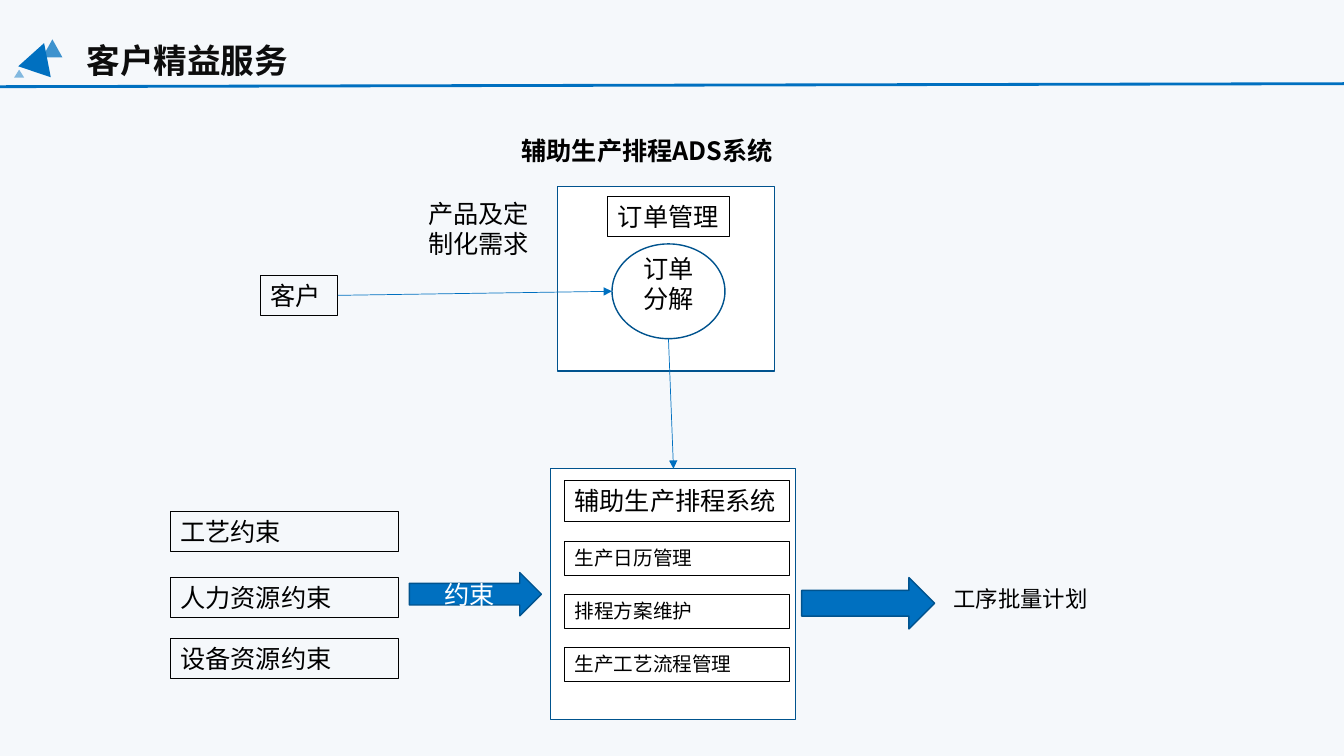
from dataclasses import dataclass
from typing import Any

from lxml.etree import SubElement
from pptx import Presentation
from pptx.dml.color import RGBColor
from pptx.enum.shapes import MSO_CONNECTOR, MSO_SHAPE
from pptx.enum.text import MSO_ANCHOR, MSO_AUTO_SIZE, PP_ALIGN
from pptx.oxml.ns import qn
from pptx.util import Inches, Pt

COLORS = {
    "background": "F5F8FB",
    "blue": "0070C0",
    "outline": "00538E",
    "white": "FFFFFF",
    "black": "000000",
    "title": "0D0D0D",
}
CHINESE_FONT = "Noto Sans CJK SC"


@dataclass(frozen=True)
class Label:
    """Text with its format."""

    text: str
    size: float = 18
    font: str = "Calibri"
    color: str = "black"
    bold: bool = False
    align: PP_ALIGN = PP_ALIGN.LEFT
    anchor: MSO_ANCHOR = MSO_ANCHOR.TOP
    wrap: bool = True
    grow: bool = True


@dataclass(frozen=True)
class Block:
    """Preset shape with its frame in inches."""

    kind: MSO_SHAPE
    frame: tuple[float, float, float, float]
    fill: str | None = None
    line: str | None = None
    weight: float = 1
    rotation: float = 0
    opacity: int = 100
    label: Label | None = None


@dataclass(frozen=True)
class Link:
    """Straight line between two points in inches."""

    start: tuple[float, float]
    end: tuple[float, float]
    weight: float = 0.5
    arrow: bool = True


def rgb(name: str) -> RGBColor:
    """Return a named colour."""
    return RGBColor.from_string(COLORS[name])


def apply_format(target: Any, values: dict[str, Any]) -> None:
    """Set every attribute of the target from a dict."""
    for name, value in values.items():
        setattr(target, name, value)


def write_label(shape: Any, label: Label) -> None:
    """Put formatted text into a shape."""
    frame = shape.text_frame
    apply_format(frame, {
        "word_wrap": label.wrap,
        "vertical_anchor": label.anchor,
        "auto_size": MSO_AUTO_SIZE.SHAPE_TO_FIT_TEXT if label.grow else MSO_AUTO_SIZE.NONE,
    })
    paragraph = frame.paragraphs[0]
    paragraph.alignment = label.align
    run = paragraph.add_run()
    run.text = label.text
    apply_format(run.font, {"name": label.font, "size": Pt(label.size), "bold": label.bold})
    run.font.color.rgb = rgb(label.color)
    SubElement(run.font._element, qn("a:ea"), typeface=CHINESE_FONT)


def add_text(slide: Any, frame: tuple[float, float, float, float], label: Label) -> None:
    """Add a text box."""
    write_label(slide.shapes.add_textbox(*map(Inches, frame)), label)


def add_block(parent: Any, block: Block) -> None:
    """Add a preset shape to a slide or group."""
    shape = parent.shapes.add_shape(block.kind, *map(Inches, block.frame))
    shape.shadow.inherit = False
    shape.rotation = block.rotation
    if block.fill:
        shape.fill.solid()
        shape.fill.fore_color.rgb = rgb(block.fill)
    else:
        shape.fill.background()
    if block.line:
        shape.line.color.rgb = rgb(block.line)
        shape.line.width = Pt(block.weight)
    else:
        shape.line.fill.background()
    if block.opacity < 100:
        color = shape.element.spPr.find(qn("a:solidFill")).find(qn("a:srgbClr"))
        SubElement(color, qn("a:alpha"), val=str(block.opacity * 1000))
    if block.label:
        write_label(shape, block.label)


def add_link(slide: Any, link: Link) -> None:
    """Add a blue line, with an arrowhead at its end if wanted."""
    connector = slide.shapes.add_connector(
        MSO_CONNECTOR.STRAIGHT, *map(Inches, link.start + link.end))
    connector.line.color.rgb = rgb("blue")
    connector.line.width = Pt(link.weight)
    if link.arrow:
        SubElement(connector.line._get_or_add_ln(), qn("a:tailEnd"), type="triangle")
    SubElement(connector.element.spPr, qn("a:effectLst"))


def panel(kind: MSO_SHAPE, *frame: float) -> Block:
    """Describe a white shape with a blue outline."""
    return Block(kind, frame, "white", "outline")


def box(text: str, left: float, top: float, width: float,
        height: float = 0.4, size: float = 18) -> Block:
    """Describe an unfilled box with a thin black outline."""
    return Block(MSO_SHAPE.RECTANGLE, (left, top, width, height),
                 line="black", weight=0.75, label=Label(text, size))


def block_arrow(*frame: float, label: Label | None = None) -> Block:
    """Describe a blue block arrow."""
    return Block(MSO_SHAPE.RIGHT_ARROW, frame, "blue", "outline", label=label)


def triangle(*frame: float, rotation: float = 0, opacity: int = 100) -> Block:
    """Describe a blue header triangle."""
    return Block(MSO_SHAPE.ISOSCELES_TRIANGLE, frame, "blue",
                 rotation=rotation, opacity=opacity)


HEADER_TRIANGLES = [
    triangle(0.42, 0.39, 0.2, 0.18, opacity=75),
    triangle(0.22, 0.42, 0.34, 0.3, rotation=18.5),
    triangle(0.14, 0.69, 0.1, 0.08, opacity=47),
]
MODULES = ["生产日历管理", "排程方案维护", "生产工艺流程管理"]
CONSTRAINTS = {"工艺约束": 5.07, "人力资源约束": 5.73, "设备资源约束": 6.33}

BLOCKS = [
    panel(MSO_SHAPE.RECTANGLE, 5.53, 1.85, 2.15, 1.83),
    panel(MSO_SHAPE.RECTANGLE, 5.46, 4.65, 2.43, 2.49),
    box("辅助生产排程系统", 5.6, 4.77, 2.23),
    *(box(name, 5.6, 5.37 + 0.525 * row, 2.23, 0.34, 14) for row, name in enumerate(MODULES)),
    box("客户", 2.58, 2.73, 0.77),
    box("订单管理", 6.03, 1.95, 1.21),
    *(box(name, 1.69, top, 2.26) for name, top in CONSTRAINTS.items()),
    block_arrow(4.06, 5.68, 1.31, 0.43, label=Label(
        "约束", color="white", align=PP_ALIGN.CENTER, anchor=MSO_ANCHOR.MIDDLE, grow=False)),
    block_arrow(7.95, 5.73, 1.32, 0.51),
    panel(MSO_SHAPE.OVAL, 6.07, 2.42, 1.12, 0.94),
]
LINKS = [
    Link((0, 0.86), (13.33, 0.83), weight=2, arrow=False),
    Link((6.63, 3.36), (6.68, 4.65)),
    Link((3.35, 2.93), (6.07, 2.89)),
]
TEXTS = [
    ((0.76, 0.35, 5.2, 0.5), Label("客户精益服务", 24, CHINESE_FONT, "title", True)),
    ((3.74, 1.29, 5.36, 0.4), Label("辅助生产排程ADS系统", font=CHINESE_FONT, bold=True,
                                    align=PP_ALIGN.CENTER)),
    ((4.15, 1.92, 1.43, 0.71), Label("产品及定制化需求")),
    ((6.28, 2.46, 0.91, 0.71), Label("订单分解")),
    ((9.36, 5.76, 1.55, 0.37), Label("工序批量计划", 16, "Arial", wrap=False)),
]

presentation = Presentation()
apply_format(presentation, {"slide_width": Inches(13.33), "slide_height": Inches(7.5)})
slide = presentation.slides.add_slide(presentation.slide_layouts[6])
slide.background.fill.solid()
slide.background.fill.fore_color.rgb = rgb("background")

header_mark = slide.shapes.add_group_shape()
for block in HEADER_TRIANGLES:
    add_block(header_mark, block)
for block in BLOCKS:
    add_block(slide, block)
for link in LINKS:
    add_link(slide, link)
for frame, label in TEXTS:
    add_text(slide, frame, label)

presentation.save("out.pptx")
